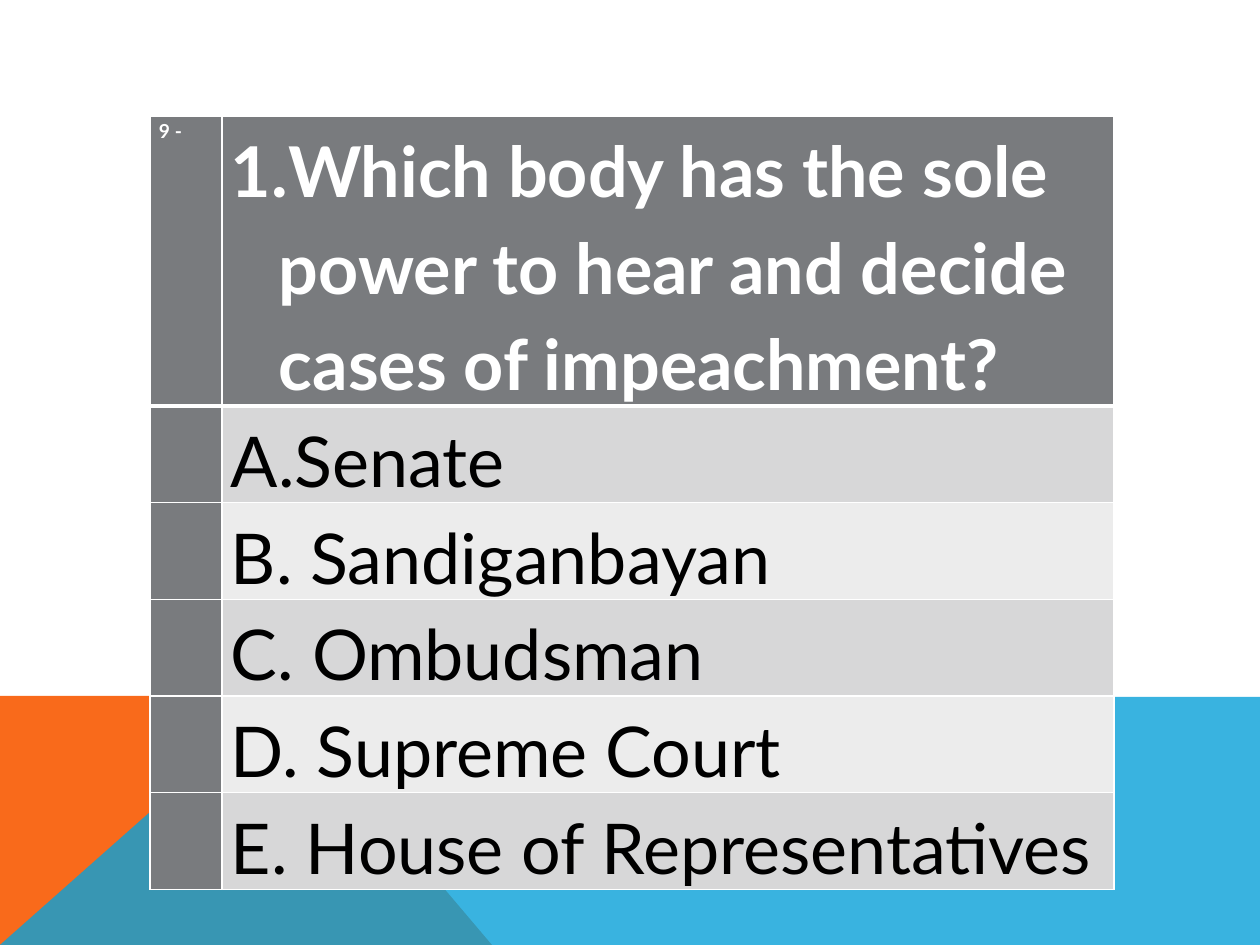
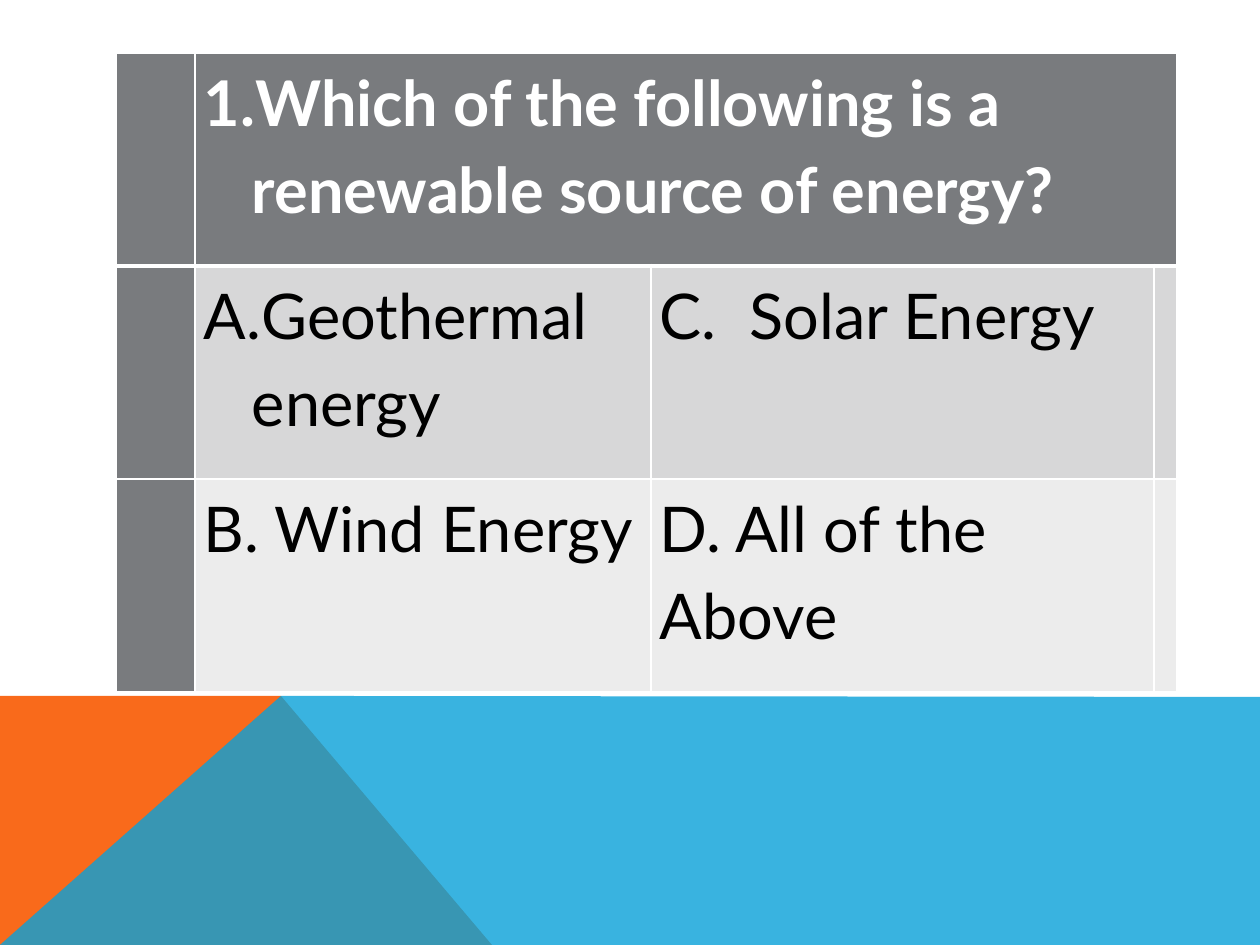
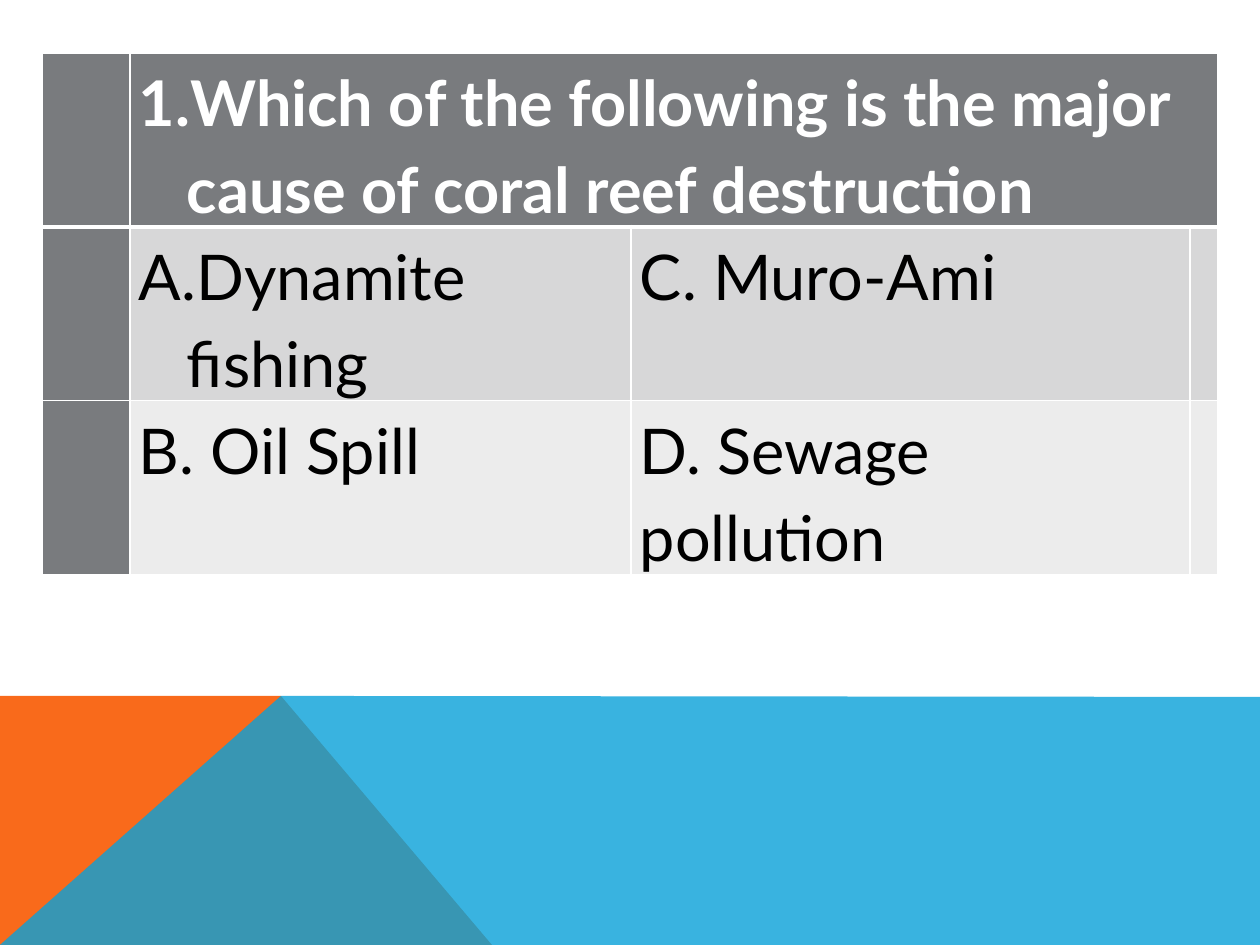
from dataclasses import dataclass

from lxml import etree
from pptx import Presentation, util as u
from pptx.dml.color import RGBColor
from pptx.oxml import ns

SCALE = 914400 / 126  # EMU in one px


@dataclass(frozen=True)
class Theme:
    font: str = "Lato"
    white: str = "FFFFFF"
    black: str = "000000"
    head: str = "797B7E"
    bands: tuple = ("D7D7D8", "ECECEC")
    orange: str = "F96A1B"
    blue: str = "08A1D9"
    note: int = 11
    thin: int = 1
    thick: int = 3


T = Theme()


def px(n):
    return u.Emu(round(n * SCALE))


def rgb(code):
    return RGBColor.from_string(code)


def sub(node, tag, **attrs):
    return etree.SubElement(node, ns.qn(tag), {k: str(v) for k, v in attrs.items()})


# Footer band: an orange slope under a translucent blue one
def slope(page, box, points, color):
    left, top = box[:2]
    spots = [(left + x, top + y) for x, y in points]
    pen = page.shapes.build_freeform(*spots[0], scale=SCALE)
    pen.add_line_segments(spots[1:], close=True)
    form = pen.convert_to_shape()
    form.shadow.inherit = False
    form.fill.solid()
    form.fill.fore_color.rgb = rgb(color)
    form.line.fill.background()
    return form


def footer(page, box):
    wide, high = box[2:]
    peak = (281, 0)
    warm = slope(page, box, [(0, high), (0, 0), peak, (492, high)], T.orange)
    cool = slope(page, box, [(0, high), peak, (wide, 1), (wide, high)], T.blue)
    tint = cool.element.find(".//" + ns.qn("a:srgbClr"))
    sub(tint, "a:alpha", val=80000)
    # The layout carries the band for every slide
    for form in (warm, cool):
        page.slide_layout.shapes.element.append(form.element)


# Table cells
def edge(cell, row):
    props = cell._tc.get_or_add_tcPr()
    heavy = {"T": row == 1, "B": row == 0}
    for i, side in enumerate("LRTB"):
        size = T.thick if heavy.get(side) else T.thin
        line = etree.Element(ns.qn("a:ln" + side), w=str(u.Pt(size)))
        sub(sub(line, "a:solidFill"), "a:srgbClr", val=T.white)
        props.insert(i, line)


def write(cell, words, size, head, mark, stop):
    para = cell.text_frame.paragraphs[0]
    props = para._p.get_or_add_pPr()
    if mark:
        props.set("marL", str(px(48)))
        props.set("indent", str(-px(48)))
        sub(props, "a:buAutoNum", type=mark)
    if "\t" in words:
        sub(sub(props, "a:tabLst"), "a:tab", pos=px(stop), algn="l")
    para.line_spacing = 1.15
    run = para.add_run()
    run.text = words
    run.font.name = T.font
    run.font.size = u.Pt(size)
    run.font.bold = head
    run.font.color.rgb = rgb(T.white if head else T.black)


# Question table: a grey head row and side column, then striped answers
def quiz(page, spot, cols, tall, size, rows, stop=90):
    box = (*spot, sum(cols), sum(tall))
    grid = page.shapes.add_table(len(rows), len(cols), *map(px, box)).table
    grid.first_row = grid.horz_banding = False
    for col, wide in zip(grid.columns, cols):
        col.width = px(wide)
    for row, high in zip(grid.rows, tall):
        row.height = px(high)
    marks = {(0, 1): "arabicPeriod", (1, 1): "alphaUcPeriod"}
    for r, row in enumerate(rows):
        for c in range(len(cols)):
            cell = grid.cell(r, c)
            head = r == 0 or c == 0
            cell.margin_left = cell.margin_right = px(9)
            cell.margin_top = cell.margin_bottom = 0
            cell.fill.solid()
            cell.fill.fore_color.rgb = rgb(T.head if head else T.bands[(r - 1) % 2])
            edge(cell, r)
            words = row[c] if c < len(row) else ""
            if words:
                write(cell, words, T.note if c == 0 else size, head,
                      marks.get((r, c)), stop)
    if len(cols) > 2:
        grid.cell(0, 1).merge(grid.cell(0, len(cols) - 1))


QUIZZES = [
    dict(spot=(150, 116), cols=[72, 892], tall=[289] + [96] * 5, size=40, rows=[
        ["9 -", "Which body has the sole power to hear and decide cases of impeachment?"],
        ["", "Senate"],
        ["", "B. Sandiganbayan"],
        ["", "C. Ombudsman"],
        ["", "D. Supreme Court"],
        ["", "E. House of Representatives"],
    ]),
    dict(spot=(116, 53), cols=[79, 456, 503, 23], tall=[213] * 3, size=36, rows=[
        ["", "Which of the following is a renewable source of energy?"],
        ["", "Geothermal energy", "C.\tSolar Energy"],
        ["", "B. Wind Energy", "D. All of the Above"],
    ]),
    dict(spot=(42, 53), cols=[88, 501, 559, 28], tall=[173] * 3, size=36, rows=[
        ["", "Which of the following is the major cause of coral reef destruction"],
        ["", "Dynamite fishing", "C. Muro-Ami"],
        ["", "B. Oil Spill", "D. Sewage pollution"],
    ]),
]


def main():
    deck = Presentation()
    deck.slide_width, deck.slide_height = px(1260), px(945)
    blank = deck.slide_layouts[6]
    pages = [deck.slides.add_slide(blank) for _ in QUIZZES]
    footer(pages[0], (0, 696, 1260, 249))
    for page, parts in zip(pages, QUIZZES):
        quiz(page, **parts)
    deck.save("out.pptx")


if __name__ == "__main__":
    main()
